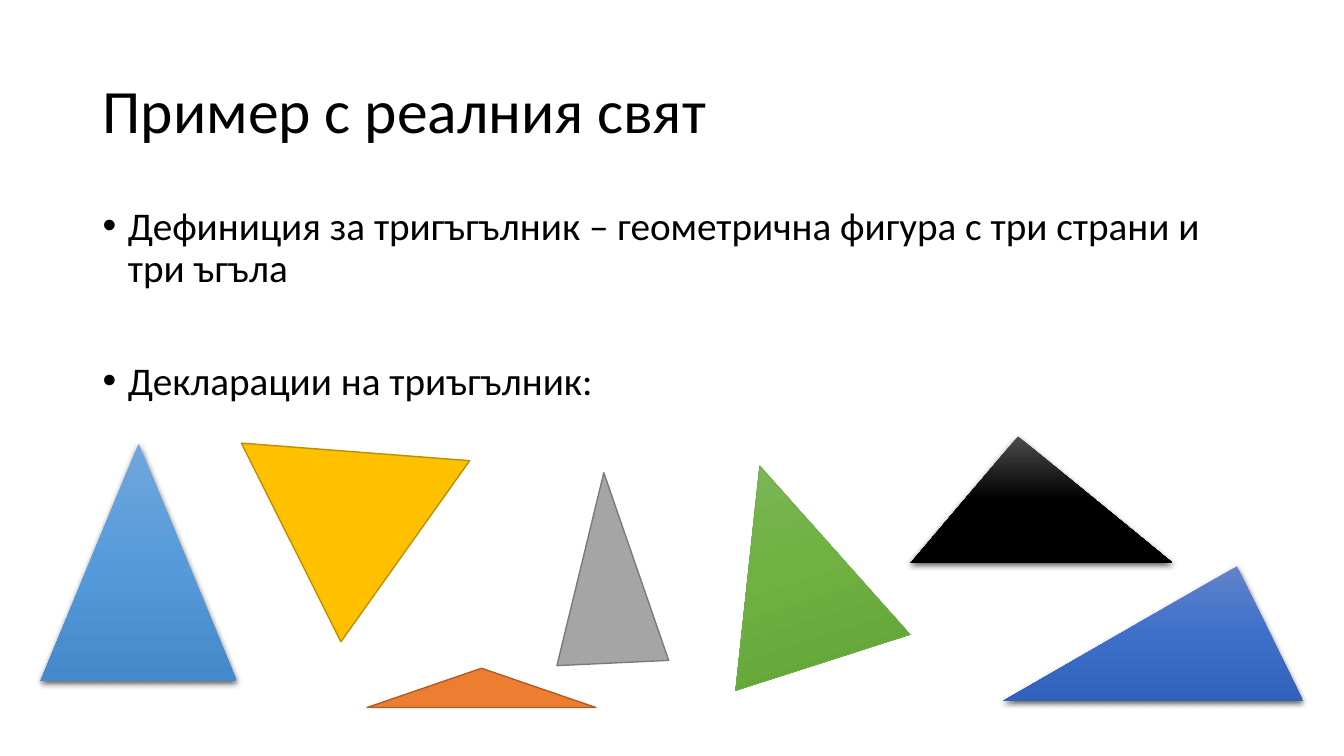
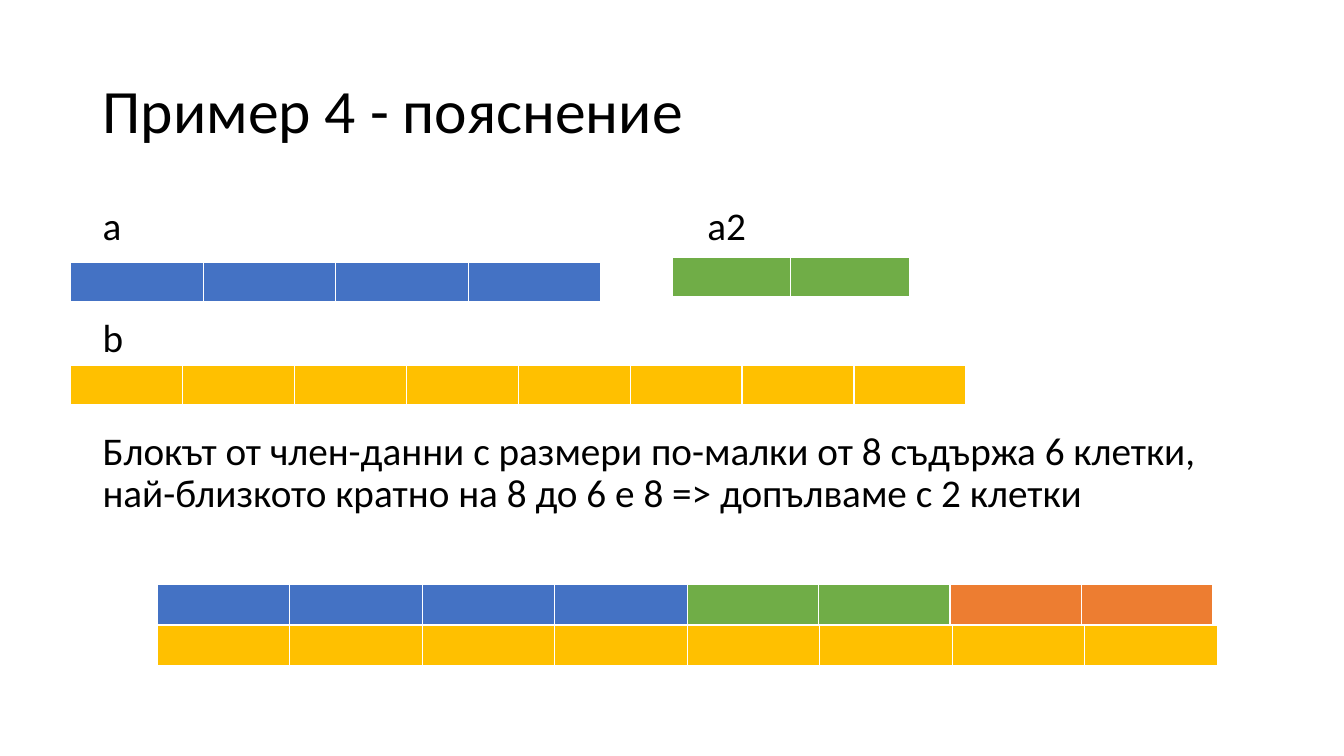
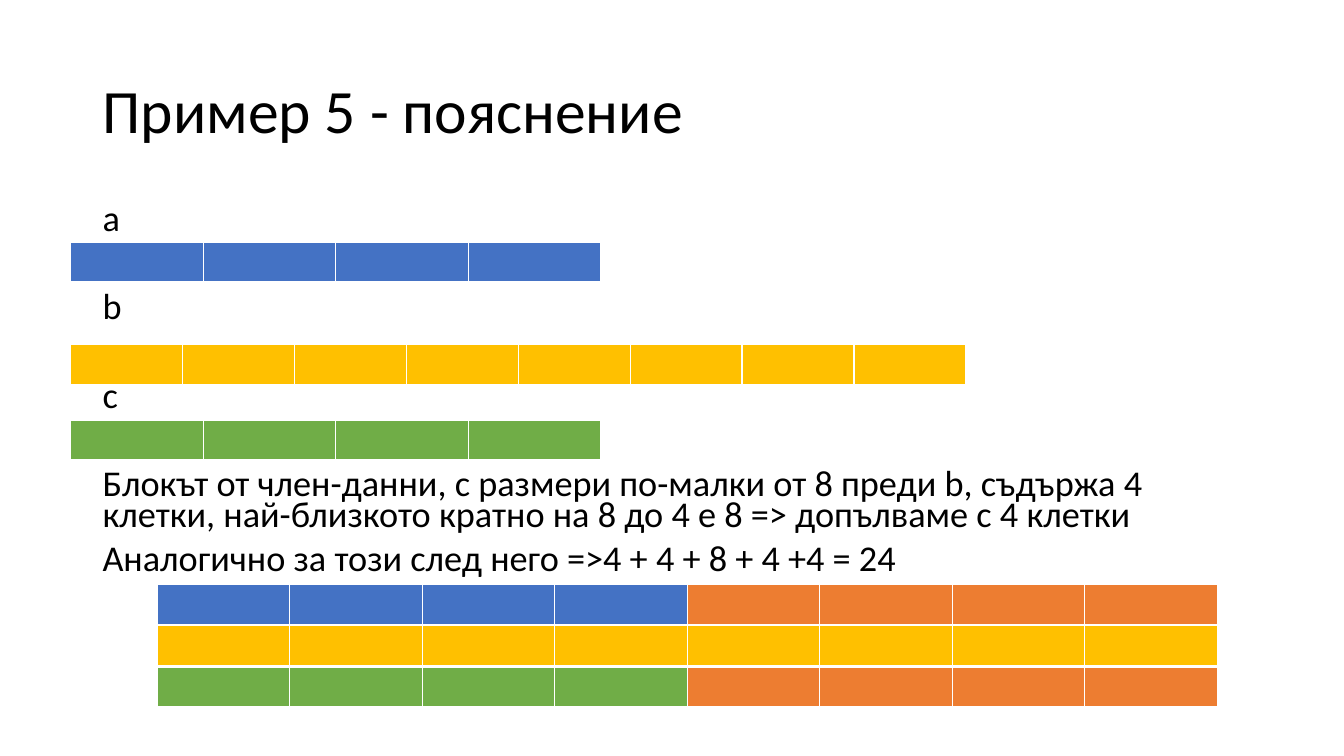
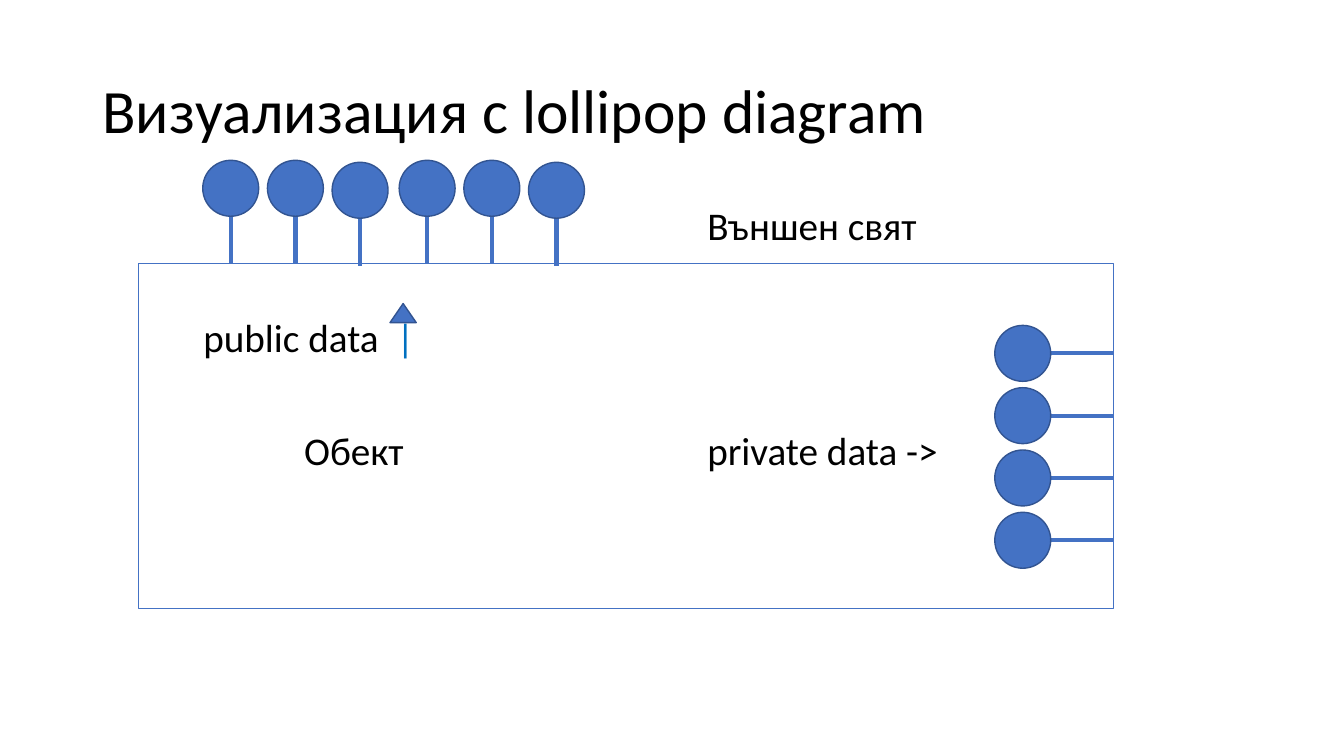
from dataclasses import dataclass

from lxml import etree
from pptx import Presentation
from pptx import util as u
from pptx.dml.color import RGBColor
from pptx.enum import shapes, text
from pptx.oxml.ns import qn


@dataclass(frozen=True)
class Theme:
    font: str = "Calibri"
    title_size: float = 44
    body_size: float = 28
    compact_size: float = 25.9
    ink: str = "000000"
    blue: str = "4472C4"
    blue_edge: str = "325491"
    green: str = "70AD47"
    gold: str = "FFC000"
    gold_edge: str = "BD8E00"
    orange: str = "ED7D31"
    orange_edge: str = "AF5C24"
    gray: str = "A5A5A5"
    gray_edge: str = "7A7A7A"
    pointer: str = "0070C0"
    divider: str = "FFFFFF"
    sky_shades: tuple = ("71A6DB", "559BDB", "448ACA")
    blue_shades: tuple = ("6183CB", "3E70CA", "3062BB")
    black_shades: tuple = ("4B4B4B", "000000", "000000")
    green_shades: tuple = ("81B861", "6FB242", "62A336")


T = Theme()
TITLE_BOX = (2.33, 1.02, 29.21, 3.68)
BODY_BOX = (2.33, 5.08, 29.21, 12.09)
TAB = 2.54
SECTION_GAP = 50
COMPACT_GAP = 41.5
CELL = 3.34
BYTE_ROW = 1.03
ROW_STEP = 1.04
PACKED_LEFT = 3.96
PACKED_TOP = 14.73
FIELD_LEFT = 1.78
DISC = 1.41


def rgb(code):
    return RGBColor.from_string(code)


def child(parent, tag, **attributes):
    return etree.SubElement(parent, qn(tag), {k: str(v) for k, v in attributes.items()})


def set_tab_size(properties):
    properties.set("defTabSz", str(u.Cm(TAB)))


def place(placeholder, box):
    placeholder.left, placeholder.top, placeholder.width, placeholder.height = map(u.Cm, box)
    placeholder.text_frame.auto_size = text.MSO_AUTO_SIZE.NONE


def add_run(paragraph, wording, size, colour=T.ink):
    run = paragraph.add_run()
    run.text = wording
    run.font.name = T.font
    run.font.size = u.Pt(size)
    run.font.color.rgb = rgb(colour)


def new_slide(deck, heading):
    slide = deck.slides.add_slide(deck.slide_layouts[1])
    title = slide.shapes.title
    place(title, TITLE_BOX)
    title.text_frame.vertical_anchor = text.MSO_ANCHOR.MIDDLE
    paragraph = title.text_frame.paragraphs[0]
    paragraph.alignment = text.PP_ALIGN.LEFT
    paragraph.line_spacing = 0.9
    add_run(paragraph, heading, T.title_size)
    return slide


def fill_body(slide, lines, size=T.body_size, spacing=0.9, bulleted=False):
    body = slide.placeholders[1]
    place(body, BODY_BOX)
    frame = body.text_frame
    for index, (gap, *runs) in enumerate(lines):
        paragraph = frame.add_paragraph() if index else frame.paragraphs[0]
        paragraph.line_spacing = spacing
        paragraph.space_before = u.Pt(gap)
        properties = paragraph._p.get_or_add_pPr()
        set_tab_size(properties)
        hang = u.Cm(0.64) if bulleted else 0
        properties.set("marL", str(hang))
        properties.set("indent", str(-hang))
        if bulleted:
            child(properties, "a:buFont", typeface="Arial")
            child(properties, "a:buChar", char="•")
        else:
            child(properties, "a:buNone")
        for wording, *colour in runs:
            add_run(paragraph, wording, size, *colour)


def set_borders(cell):
    properties = cell._tc.get_or_add_tcPr()
    for index, (side, width) in enumerate((("L", 1), ("R", 1), ("T", 1), ("B", 3))):
        border = etree.Element(qn("a:ln" + side), w=str(u.Pt(width)))
        child(child(border, "a:solidFill"), "a:srgbClr", val=T.divider)
        properties.insert(index, border)


def add_strip(slide, left, top, count, colour, cell_width=CELL):
    table = slide.shapes.add_table(1, count, u.Cm(left), u.Cm(top),
                                   u.Cm(count * cell_width), u.Cm(BYTE_ROW)).table
    table.first_row = table.horz_banding = False
    for column in table.columns:
        column.width = u.Cm(cell_width)
    for cell in table.iter_cells():
        cell.fill.solid()
        cell.fill.fore_color.rgb = rgb(colour)
        set_borders(cell)


def add_packed_row(slide, row, *fields):
    left = PACKED_LEFT
    for count, colour, cell_width in fields:
        add_strip(slide, left, PACKED_TOP + row * ROW_STEP, count, colour, cell_width)
        left += count * cell_width


def add_figure(slide, kind, box, fill=None, edge=None, edge_width=1.0, rotation=0):
    figure = slide.shapes.add_shape(kind, *map(u.Cm, box))
    figure.rotation = rotation
    figure.shadow.inherit = False
    if fill is None:
        figure.fill.background()
    elif isinstance(fill, tuple):
        shade(figure, fill)
    else:
        figure.fill.solid()
        figure.fill.fore_color.rgb = rgb(fill)
    if edge:
        figure.line.color.rgb = rgb(edge)
        figure.line.width = u.Pt(edge_width)
    else:
        figure.line.fill.background()
    return figure


def shade(figure, colours):
    figure.fill.gradient()
    figure.fill.gradient_angle = 270
    stops = figure._element.spPr.find(".//" + qn("a:gsLst"))
    for stop in list(stops):
        stops.remove(stop)
    for index, colour in enumerate(colours):
        child(child(stops, "a:gs", pos=index * 50000), "a:srgbClr", val=colour)


def add_triangle(slide, box, fill, edge=None, edge_width=1.0, rotation=0, apex=0.5, raised=False):
    triangle = add_figure(slide, shapes.MSO_SHAPE.ISOSCELES_TRIANGLE, box,
                          fill, edge, edge_width, rotation)
    triangle.adjustments[0] = apex
    if raised:
        effects = triangle._element.spPr.find(qn("a:effectLst"))
        shadow = child(effects, "a:outerShdw", blurRad=u.Pt(4.5), dist=u.Pt(1.5),
                       dir=5400000, algn="ctr", rotWithShape=0)
        child(child(shadow, "a:srgbClr", val=T.ink), "a:alpha", val=63000)


def add_lollipop(slide, left, top, start, end):
    stem = slide.shapes.add_connector(shapes.MSO_CONNECTOR.STRAIGHT, *map(u.Cm, start + end))
    stem.line.color.rgb = rgb(T.blue)
    stem.line.width = u.Pt(3)
    child(stem._element.spPr, "a:effectLst")
    add_figure(slide, shapes.MSO_SHAPE.FLOWCHART_CONNECTOR, (left, top, DISC, DISC),
               T.blue, T.blue_edge)


def real_world(deck):
    slide = new_slide(deck, "Пример с реалния свят")
    fill_body(slide, [
        (10, ("Дефиниция за тригъгълник – геометрична фигура с три страни и три ъгъла",)),
        (SECTION_GAP, ("Декларации на триъгълник:",)),
    ], bulleted=True)
    add_triangle(slide, (1.02, 11.18, 4.95, 5.99), T.sky_shades, raised=True)
    add_triangle(slide, (5.89, 11.38, 5.77, 4.8), T.gold, T.gold_edge, rotation=184.4)
    add_triangle(slide, (25.27, 14.27, 7.57, 3.4), T.blue_shades, apex=0.78, raised=True)
    add_triangle(slide, (22.94, 11, 6.63, 3.2), T.black_shades, apex=0.41, raised=True)
    add_triangle(slide, (9.25, 16.84, 5.77, 0.99), T.orange, T.orange_edge)
    add_triangle(slide, (17.63, 11.61, 4.62, 5.21), T.green_shades, T.green, 0.5, rotation=342.2)
    add_triangle(slide, (13.92, 11.91, 2.82, 4.8), T.gray, T.gray_edge, rotation=357.3)


def example_four(deck):
    slide = new_slide(deck, "Пример 4 - пояснение")
    fill_body(slide, [
        (10, ("а\t\t\t\t\t\ta2",)),
        (SECTION_GAP, ("b",)),
        (SECTION_GAP, ("Блокът от член-данни с размери по-малки от 8 съдържа 6 клетки, "
                       "най-близкото кратно на 8 до 6 е 8 => допълваме с 2 клетки",)),
    ])
    add_strip(slide, FIELD_LEFT, 6.6, 4, T.blue)
    add_strip(slide, FIELD_LEFT, 9.2, 8, T.gold, 2.82)
    add_strip(slide, 16.94, 6.48, 2, T.green, 2.99)
    add_packed_row(slide, 0, (4, T.blue, CELL), (2, T.green, 3.31), (2, T.orange, 3.31))
    add_packed_row(slide, 1, (8, T.gold, CELL))


def example_five(deck):
    slide = new_slide(deck, "Пример 5 - пояснение")
    fill_body(slide, [
        (10, ("а",)),
        (COMPACT_GAP, ("b",)),
        (COMPACT_GAP, ("c",)),
        (COMPACT_GAP, ("Блокът от член-данни, с размери по-малки от 8 преди b, съдържа 4 клетки, "
                       "най-близкото кратно на 8 до 4 е 8 => допълваме с 4 клетки",)),
        (10, ("Аналогично за този след него =>4 + 4 + 8 + 4 +4 = 24",)),
    ], size=T.compact_size, spacing=0.7)
    add_strip(slide, FIELD_LEFT, 6.1, 4, T.blue)
    add_strip(slide, FIELD_LEFT, 8.69, 8, T.gold, 2.82)
    add_strip(slide, FIELD_LEFT, 10.59, 4, T.green)
    padding = (4, T.orange, CELL)
    add_packed_row(slide, 0, (4, T.blue, CELL), padding)
    add_packed_row(slide, 1, (8, T.gold, CELL))
    add_packed_row(slide, 2, (4, T.green, CELL), padding)


def lollipop_diagram(deck):
    slide = new_slide(deck, "Визуализация с lollipop diagram")
    fill_body(slide, [
        (10, ("\t\t\t\t\t\tВъншен свят",)),
        (SECTION_GAP, ("\tpublic data ",), (" |", T.pointer)),
        (SECTION_GAP, ("\t\tОбект\t\t\t\tprivate data ->",)),
    ])
    box_left, box_top, box_width = 3.48, 6.65, 24.59
    add_figure(slide, shapes.MSO_SHAPE.RECTANGLE, (box_left, box_top, box_width, 8.69),
               edge=T.blue, edge_width=0.75)
    for group in range(2):
        for member in range(3):
            left = 5.11 + 4.95 * group + 1.63 * member
            dip = 0.05 if member == 2 else 0
            centre = left + DISC / 2
            add_lollipop(slide, left, 4.04 + dip, (centre, 4.7 + dip), (centre, box_top + dip))
    for member in range(4):
        top = 8.2 + 1.57 * member
        centre = top + DISC / 2
        add_lollipop(slide, 25.07, top, (box_left + box_width, centre), (26.06, centre))
    add_triangle(slide, (9.83, 7.65, 0.66, 0.48), T.blue, T.blue_edge)


def main():
    deck = Presentation()
    deck.slide_width, deck.slide_height = u.Cm(33.87), u.Cm(19.05)
    body_style = deck.slide_master._element.find(".//" + qn("p:bodyStyle"))
    set_tab_size(body_style.find(qn("a:lvl1pPr")))
    for build in (real_world, example_four, example_five, lollipop_diagram):
        build(deck)
    deck.save("out.pptx")


if __name__ == "__main__":
    main()
